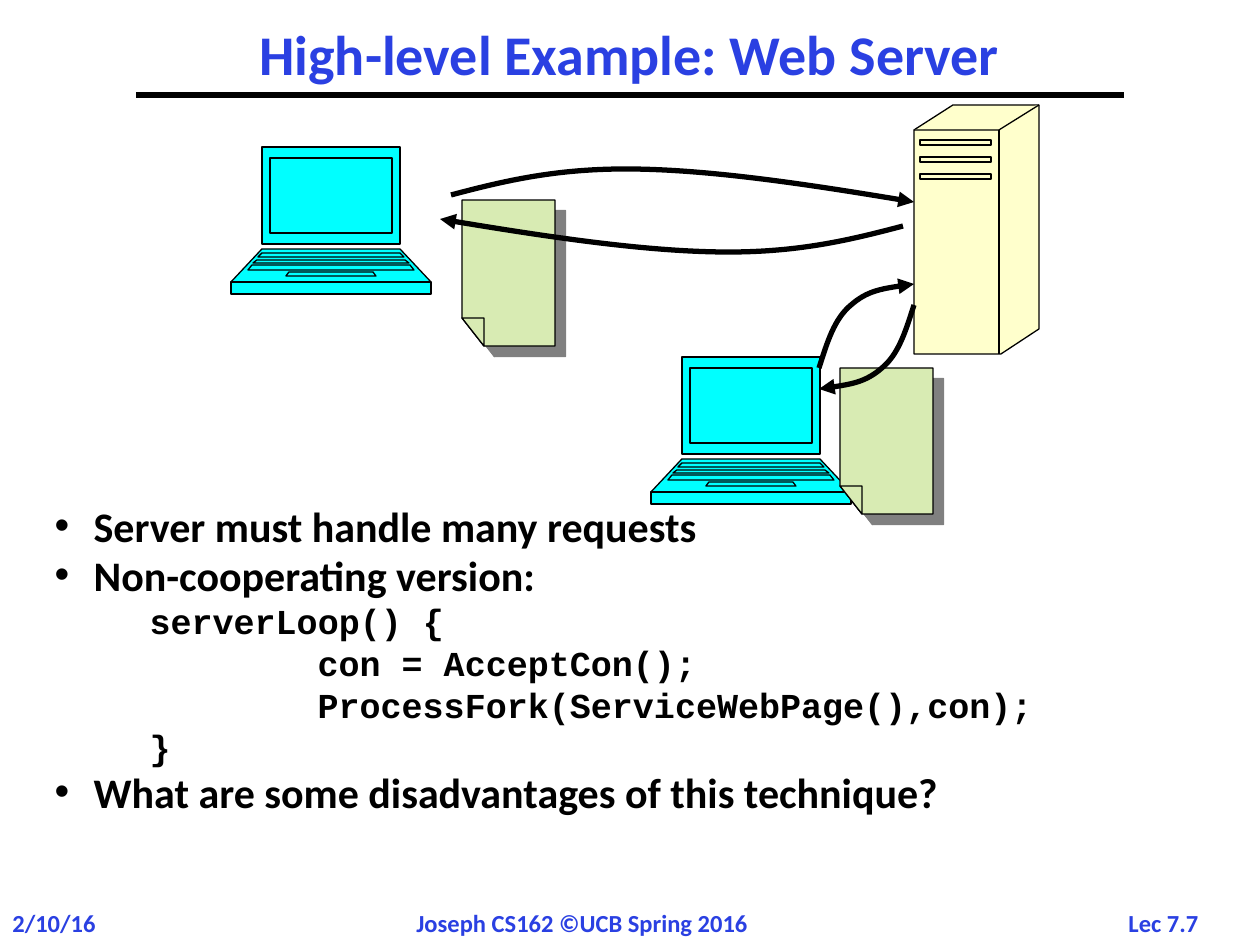
from copy import deepcopy
from dataclasses import dataclass

from lxml.etree import SubElement
from pptx import Presentation
from pptx.dml.color import RGBColor
from pptx.enum.shapes import MSO_CONNECTOR
from pptx.enum.text import MSO_ANCHOR, MSO_AUTO_SIZE, PP_ALIGN
from pptx.oxml.ns import qn
from pptx.util import Pt

SCALE = 914400 / 126  # EMU in one pixel


@dataclass(frozen=True)
class Theme:
    font: str = "Calibri"
    code_font: str = "Courier New"
    accent: str = "2A40E2"
    ink: str = "000000"
    laptop: str = "00FFFF"
    server: str = "FFFFCC"
    document: str = "D8EBB3"
    shadow: str = "808080"
    title_size: int = 32
    body_size: int = 24
    code_size: int = 20
    footer_size: int = 14
    line_gap: float = 4.8
    thin: float = 0.75
    thick: float = 3


THEME = Theme()


def px(length):
    return round(length * SCALE)


def color(value):
    return RGBColor.from_string(value)


def place(shape, box):
    shape.left, shape.top, shape.width, shape.height = map(px, box)


def style(para, size, ink, font=THEME.font):
    for span in para.runs:
        span.font.name, span.font.size, span.font.bold = font, Pt(size), True
        span.font.color.rgb = color(ink)


def add_freeform(page, contours, line_width):
    """Contours are (points, closed) pairs in pixels."""
    builder = None
    for points, closed in contours:
        if builder is None:
            builder = page.shapes.build_freeform(*points[0], scale=SCALE)
        else:
            builder.move_to(*points[0])
        builder.add_line_segments(points[1:], close=closed)
    shape = builder.convert_to_shape()
    shape.shadow.inherit = False
    shape.line.color.rgb = color(THEME.ink)
    shape.line.width = Pt(line_width)
    return shape


def add_figure(page, origin, contours, fill):
    """A filled outline whose contours are painted one over another."""
    left, top = origin
    moved = [([(left + x, top + y) for x, y in points], closed)
             for points, closed in contours]
    shape = add_freeform(page, moved, THEME.thin)
    shape.fill.solid()
    shape.fill.fore_color.rgb = color(fill)
    # Each contour gets a path of its own, so that overlaps stay filled
    source = next(shape._element.iter(qn("a:path")))
    paths = source.getparent()
    for step in list(source):
        if step.tag == qn("a:moveTo"):
            target = deepcopy(source)
            for child in list(target):
                target.remove(child)
            paths.append(target)
        target.append(step)
    paths.remove(source)
    return shape


def trapezoid(width, top, bottom, inset_top, inset_bottom):
    return [(inset_top, top), (width - inset_top, top),
            (width - inset_bottom, bottom), (inset_bottom, bottom)], True


def add_laptop(page, origin):
    parts = [
        (0, 97, 31, 31),      # lid
        (102, 135, 31, 0),    # keyboard deck
        (135, 147, 0, 0),     # front edge
        (11, 86, 39, 39),     # display
        (106, 110, 31, 27),   # key rows
        (113, 116, 26, 22),
        (118, 123, 21, 17),
        (125, 129, 58, 55),   # touch pad
    ]
    contours = [trapezoid(200, *part) for part in parts]
    add_figure(page, origin, contours, THEME.laptop)


def add_server(page, origin):
    body = [(0, 25), (39, 0), (125, 0), (125, 224), (87, 249), (0, 249)]
    contours = [(body, True),
                ([(0, 25), (85, 25), (125, 0)], False),
                ([(85, 25), (85, 249)], False)]
    for top in (35, 52, 69):
        contours.append(([(6, top), (77, top), (77, top + 5), (6, top + 5)], True))
    add_figure(page, origin, contours, THEME.server)


def add_document(page, origin):
    sheet = [(0, 0), (93, 0), (93, 146), (22, 146), (0, 118)]
    fold = [(0, 118), (22, 118), (22, 146)]
    shape = add_figure(page, origin, [(sheet, True), (fold, True)], THEME.document)
    effects = shape._element.spPr.find(qn("a:effectLst"))
    shadow = SubElement(effects, qn("a:outerShdw"), dist=str(Pt(8.5)),
                        dir=str(45 * 60000), algn="ctr", rotWithShape="0")
    SubElement(shadow, qn("a:srgbClr"), val=THEME.shadow)


def add_curved_arrow(page, points):
    """The points are a start and then three for each Bezier segment."""
    shape = add_freeform(page, [(points, False)], THEME.thick)
    shape.fill.background()
    curve = next(shape._element.iter(qn("a:path")))
    steps = curve.findall(qn("a:lnTo"))
    for first in range(0, len(steps), 3):
        segment = SubElement(curve, qn("a:cubicBezTo"))
        for step in steps[first:first + 3]:
            segment.append(step[0])
            curve.remove(step)
    SubElement(shape._element.spPr.find(qn("a:ln")), qn("a:tailEnd"), type="triangle")


def turned(points, start):
    """The same curve turned half round, beginning at another start."""
    (x0, y0), (x1, y1) = points[0], start
    return [(x0 + x1 - x, y0 + y1 - y) for x, y in points]


def add_diagram(page):
    request = [(451, 195), (504, 181), (557, 168), (634, 169),
               (711, 170), (813, 185), (914, 202)]
    near_request = [(819, 368), (827, 343), (834, 319), (851, 305),
                    (867, 291), (890, 287), (914, 284)]
    add_server(page, (914, 105))
    add_laptop(page, (231, 147))
    add_curved_arrow(page, request)
    add_document(page, (462, 200))
    add_laptop(page, (651, 357))
    add_curved_arrow(page, near_request)
    add_document(page, (840, 368))
    add_curved_arrow(page, turned(near_request, (914, 305)))
    add_curved_arrow(page, turned(request, (903, 226)))


def add_title(page, box, text):
    title = page.shapes.title
    place(title, box)
    frame = title.text_frame
    frame.text = text
    frame.auto_size = MSO_AUTO_SIZE.NONE
    frame.vertical_anchor = MSO_ANCHOR.MIDDLE
    para = frame.paragraphs[0]
    para.alignment, para.line_spacing = PP_ALIGN.CENTER, 0.9
    style(para, THEME.title_size, THEME.accent)
    # Rule under the title
    rule = page.shapes.add_connector(MSO_CONNECTOR.STRAIGHT,
                                     *map(px, (136, 95, 1124, 95)))
    rule.line.color.rgb = color(THEME.ink)
    rule.line.width = Pt(THEME.thick)
    SubElement(rule._element.spPr, qn("a:effectLst"))


def add_body(page, box, lines):
    """Lines are (text, code indent) pairs; an indent of None makes a bullet."""
    body = page.placeholders[1]
    place(body, box)
    frame = body.text_frame
    frame.text = "\n".join(text for text, _ in lines)
    frame.auto_size = MSO_AUTO_SIZE.NONE
    for para, (_, indent) in zip(frame.paragraphs, lines):
        bullet = indent is None
        para.level = 0 if bullet else 1
        para.line_spacing = 0.8
        para.space_before = Pt(THEME.line_gap)
        properties = para._p.get_or_add_pPr()
        properties.set("marL", str(px(39 if bullet else indent)))
        properties.set("indent", str(px(-39 if bullet else 0)))
        if bullet:
            SubElement(properties, qn("a:buChar"), char="•")
            style(para, THEME.body_size, THEME.ink)
        else:
            SubElement(properties, qn("a:buNone"))
            style(para, THEME.code_size, THEME.ink, THEME.code_font)


def add_footer(page, box, text, alignment):
    label = page.shapes.add_textbox(*map(px, box))
    frame = label.text_frame
    frame.word_wrap = False
    frame.text = text
    frame.paragraphs[0].alignment = alignment
    style(frame.paragraphs[0], THEME.footer_size, THEME.accent)


deck = Presentation()
deck.slide_width, deck.slide_height = px(1260), px(945)
page = deck.slides.add_slide(deck.slide_layouts[1])

add_footer(page, (1105, 902, 117, 42), "Lec 7.7", PP_ALIGN.CENTER)
add_footer(page, (0, 902, 126, 42), "2/10/16", PP_ALIGN.LEFT)
add_footer(page, (404, 902, 362, 42), "Joseph CS162 ©UCB Spring 2016", PP_ALIGN.LEFT)
add_title(page, (136, 21, 987, 73), "High-level Example: Web Server")
add_body(page, (42, 504, 1092, 388), [
    ("Server must handle many requests", None),
    ("Non-cooperating version:", None),
    ("serverLoop() {", 95),
    ("con = AcceptCon();", 263),
    ("ProcessFork(ServiceWebPage(),con);", 263),
    ("}", 95),
    ("What are some disadvantages of this technique?", None),
])
add_diagram(page)

deck.save("out.pptx")
